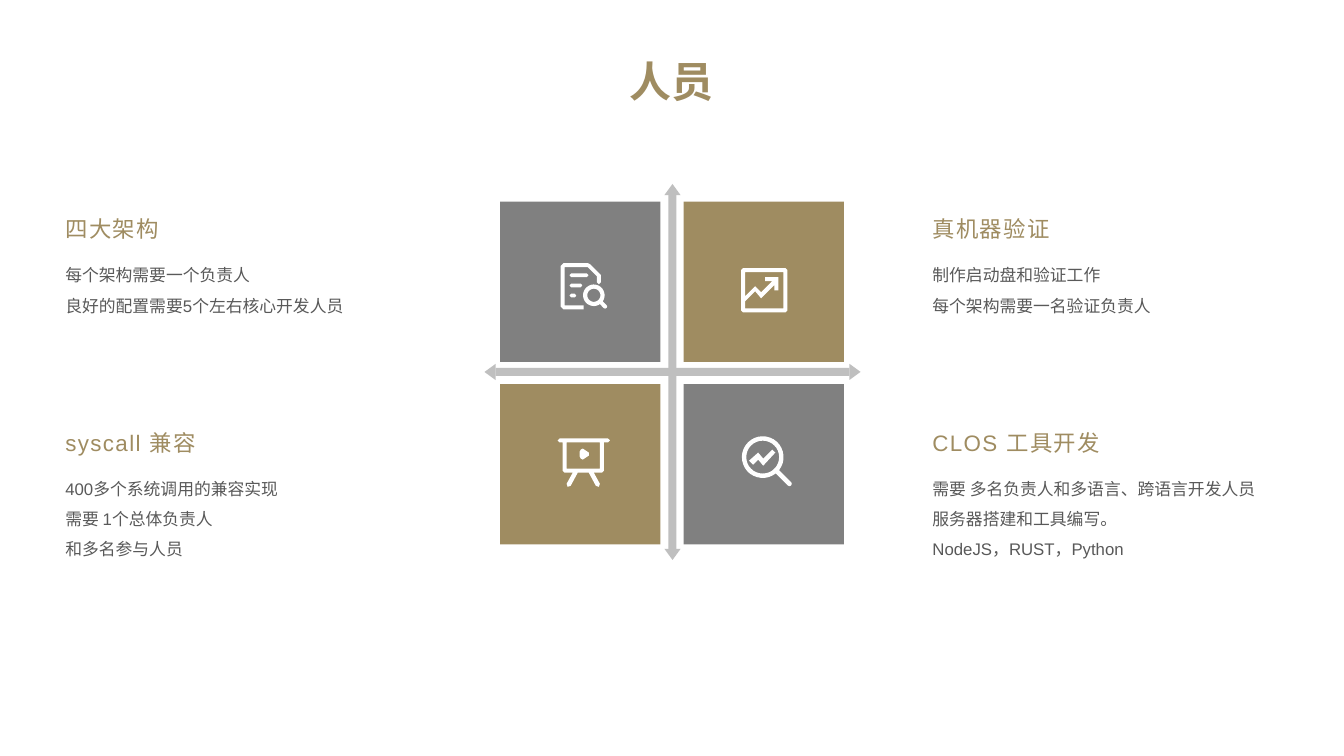
from math import asin, cos, degrees, radians, sin

from pptx import Presentation
from pptx.dml.color import RGBColor
from pptx.enum.shapes import MSO_SHAPE
from pptx.enum.text import MSO_ANCHOR, MSO_AUTO_SIZE, PP_ALIGN
from pptx.util import Inches, Pt

COLORS = {"gold": "9F8C61", "gray": "808080", "arrow": "BFBFBF",
          "text": "595959", "white": "FFFFFF"}
FONT = "Arial"


def arc(cx, cy, r, start, end, steps=32):
    """Points along a circular arc; angles in degrees, clockwise from the right."""
    angles = [radians(start + (end - start) * i / steps) for i in range(steps + 1)]
    return [(cx + r * cos(a), cy + r * sin(a)) for a in angles]


def box(x, y, w, h, cut=0):
    """Corner points of a rectangle with its corners cut off."""
    return [(x, y + cut), (x + cut, y), (x + w - cut, y), (x + w, y + cut),
            (x + w, y + h - cut), (x + w - cut, y + h),
            (x + cut, y + h), (x, y + h - cut)]


def magnifier(cx, cy, r, inner, reach, half=2):
    """Ring with a round-ended handle pointing down and right."""
    gap = degrees(asin(half / r))
    tip = reach * cos(radians(45))
    outer = arc(cx, cy, r, 45 + gap, 405 - gap)
    cap = arc(cx + tip, cy + tip, half, -45, 135, 8)
    return [outer + cap, arc(cx, cy, inner, 0, 360)]


# Icon contours, in hundredths of an inch from the icon's top left corner
DOCUMENT = [
    [(40, 12), (40, 19), (38, 21), (36, 19), (36, 13), (27, 4), (4, 4), (4, 42),
     (23, 42), (23, 46), (3, 46), (0, 43), (0, 3), (3, 0), (27, 0), (29, 1)],
    *[box(9, y, w, 3.6, 1.5) for y, w in ((10.3, 18.5), (20.5, 12.5), (30.5, 6.5))],
    *magnifier(33, 32, 10.7, 6.5, 15.8),
]
CHART = [
    box(0, 0, 46, 44, 2),
    [(37, 22), (33, 22), (33, 17), (20, 30), (14, 23), (4, 33), (4, 40), (42, 40),
     (42, 4), (4, 4), (4, 28), (14, 18), (20, 24), (31, 13), (24, 13), (24, 9), (37, 9)],
]
BOARD = [
    [(2, 0), (50, 0), (52, 2), (50, 4), (46, 4), (46, 32), (44, 34), (36, 34),
     (42, 45), (41, 48), (38, 47), (31, 34), (20, 34), (13, 47), (10, 48),
     (9, 45), (15, 34), (7, 34), (5, 32), (5, 4), (2, 4), (0, 2)],
    box(9, 4, 33, 26),
    [(22, 13), (23, 11), (25, 10), (31, 14), (31, 17), (25, 21), (23, 20), (22, 18)],
]
ANALYSIS = [
    *magnifier(20.5, 20.5, 20.7, 16.3, 37.5, 2.3),
    [(21, 29), (16, 23), (11, 28), (7, 24), (16, 16), (21, 22), (30, 13), (33, 16)],
]


def paint(sp, color):
    sp.shadow.inherit = False
    sp.fill.solid()
    sp.fill.fore_color.rgb = RGBColor.from_string(COLORS[color])
    sp.line.fill.background()


def add_centered(s, kind, cx, cy, w, h, rotation, color):
    sp = s.shapes.add_shape(kind, Inches(cx - w / 2), Inches(cy - h / 2),
                            Inches(w), Inches(h))
    sp.rotation = rotation
    paint(sp, color)


def add_icon(s, contours, x, y):
    scaled = [[(px * 10, py * 10) for px, py in pts] for pts in contours]
    fb = s.shapes.build_freeform(*scaled[0][0], scale=Inches(1) / 1000)
    fb.add_line_segments(scaled[0][1:])
    for pts in scaled[1:]:
        fb.move_to(*pts[0])
        fb.add_line_segments(pts[1:])
    paint(fb.convert_to_shape(Inches(x), Inches(y)), "white")


def add_run(p, text, size, color, bold=False):
    r = p.add_run()
    r.text = text
    r.font.name = FONT
    r.font.size = Pt(size)
    r.font.bold = bold
    r.font.color.rgb = RGBColor.from_string(COLORS[color])
    return r


def add_title(s, text, x, y, w, h):
    sp = s.shapes.title
    sp.left, sp.top, sp.width, sp.height = map(Inches, (x, y, w, h))
    tf = sp.text_frame
    tf.vertical_anchor = MSO_ANCHOR.MIDDLE
    p = tf.paragraphs[0]
    p.alignment = PP_ALIGN.CENTER
    p.space_after = Pt(10)
    add_run(p, text, 30, "gold", bold=True)


def add_text_box(s, x, y, w, h):
    tf = s.shapes.add_textbox(*map(Inches, (x, y, w, h))).text_frame
    tf.word_wrap = True
    tf.auto_size = MSO_AUTO_SIZE.SHAPE_TO_FIT_TEXT
    return tf


def add_topic(s, heading, lines, x, y, w=3.54):
    tf = add_text_box(s, x, y, w, 0.37)
    r = add_run(tf.paragraphs[0], heading, 16, "gold")
    r.font._element.set("spc", "100")
    tf = add_text_box(s, x, y + 0.39, w, 0.11 + 0.3 * len(lines))
    for i, line in enumerate(lines):
        p = tf.add_paragraph() if i else tf.paragraphs[0]
        p.line_spacing = 1.5
        add_run(p, line, 12, "text")


def add_tile(s, x, y, color, contours, dx, dy, side=1.59):
    add_centered(s, MSO_SHAPE.RECTANGLE, x + side / 2, y + side / 2, side, side, 0, color)
    add_icon(s, contours, x + dx, y + dy)


def add_cross(s, cx, cy, length=3.51, reach=1.81):
    """Two crossing bars with an arrowhead at each of the four ends."""
    for rotation in (0, 270):
        add_centered(s, MSO_SHAPE.RECTANGLE, cx, cy, length, 0.08, rotation, "arrow")
    for rotation, ux, uy in ((0, 0, -1), (90, 1, 0), (180, 0, 1), (270, -1, 0)):
        add_centered(s, MSO_SHAPE.ISOSCELES_TRIANGLE, cx + ux * reach, cy + uy * reach,
                     0.16, 0.11, rotation, "arrow")


TILES = [("gray", DOCUMENT, 0.6, 0.61), ("gold", CHART, 0.57, 0.66),
         ("gold", BOARD, 0.57, 0.54), ("gray", ANALYSIS, 0.58, 0.52)]
TOPICS = [
    ("四大架构", ["每个架构需要一个负责人", "良好的配置需要5个左右核心开发人员"]),
    ("真机器验证", ["制作启动盘和验证工作", "每个架构需要一名验证负责人"]),
    ("syscall 兼容", ["400多个系统调用的兼容实现", "需要 1个总体负责人", "和多名参与人员"]),
    ("CLOS 工具开发", ["需要 多名负责人和多语言、跨语言开发人员",
                   "服务器搭建和工具编写。", "NodeJS，RUST，Python"]),
]


def main():
    prs = Presentation()
    prs.slide_width, prs.slide_height = Inches(13.33), Inches(7.5)
    s = prs.slides.add_slide(prs.slide_layouts[5])
    add_title(s, "人员", 0, 0.47, 13.33, 0.66)
    for i, (tile, topic) in enumerate(zip(TILES, TOPICS)):
        row, col = divmod(i, 2)
        add_tile(s, 4.96 + 1.82 * col, 2 + 1.81 * row, *tile)
        add_topic(s, *topic, 0.55 + 8.6 * col, 2.09 + 2.12 * row)
    add_cross(s, 6.67, 3.69)
    prs.save("out.pptx")


if __name__ == "__main__":
    main()
